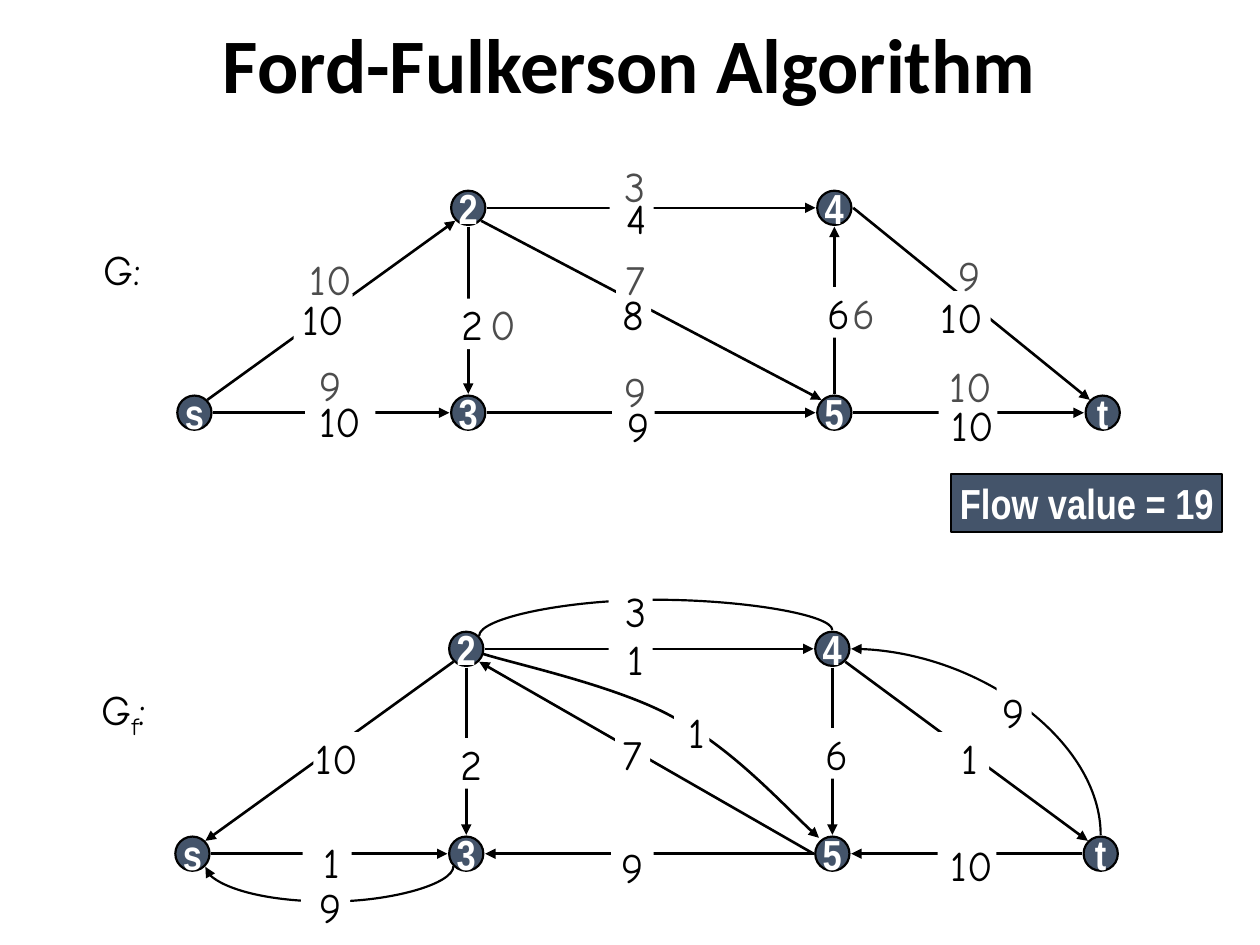
from dataclasses import dataclass

import pptx
import pptx.dml.color
import pptx.enum.shapes
import pptx.enum.text
import pptx.oxml
import pptx.oxml.ns
import pptx.util
from lxml import etree

Cm = pptx.util.Cm
Pt = pptx.util.Pt
RGBColor = pptx.dml.color.RGBColor
Shapes = pptx.enum.shapes.MSO_SHAPE
Connectors = pptx.enum.shapes.MSO_CONNECTOR
Align = pptx.enum.text.PP_ALIGN
Anchor = pptx.enum.text.MSO_ANCHOR
qn = pptx.oxml.ns.qn

BLACK = RGBColor(0x00, 0x00, 0x00)
WHITE = RGBColor(0xFF, 0xFF, 0xFF)
SLATE = RGBColor(0x44, 0x54, 0x6A)
GREY = RGBColor(0x4D, 0x4D, 0x4D)

# Node centres of the upper graph, and where each graph starts (cm)
NODES = {"s": (3.92, 8.32), "2": (9.44, 4.19), "3": (9.44, 8.32),
         "4": (16.82, 4.19), "5": (16.82, 8.32), "t": (22.23, 8.32)}
FLOW_ORIGIN = (0, 0)
RESIDUAL_ORIGIN = (-0.04, 8.89)
NODE_SIZE = 0.69
PORT_SIDE, PORT_CORNER = 0.38, 0.26


@dataclass(frozen=True)
class Edge:
    start: str
    start_port: str
    end: str
    end_port: str


@dataclass(frozen=True)
class Curve(Edge):
    flip: str = ""
    bow: float = 0
    arrow: bool = True


@dataclass(frozen=True)
class Label:
    text: str
    left: float
    top: float
    width: float = 0.94
    indent: float = 0


FLOW_EDGES = [
    Edge("s", "NE", "2", "SW"), Edge("s", "E", "3", "W"), Edge("3", "E", "5", "W"),
    Edge("2", "E", "4", "W"), Edge("2", "S", "3", "N"), Edge("5", "N", "4", "S"),
    Edge("2", "SE", "5", "NW"), Edge("4", "E", "t", "NW"), Edge("5", "E", "t", "W"),
]
RESIDUAL_EDGES = [
    Edge("s", "E", "3", "W"), Edge("5", "W", "3", "E"), Edge("2", "E", "4", "W"),
    Edge("2", "S", "3", "N"), Edge("4", "S", "5", "N"), Edge("4", "SE", "t", "NW"),
    Edge("t", "W", "5", "E"), Edge("5", "W", "2", "SE"), Edge("2", "SW", "s", "NE"),
]
RESIDUAL_CURVES = [
    Curve("3", "SW", "s", "SE", bow=0.71),
    Curve("t", "N", "4", "E", flip="H"),
    Curve("4", "N", "2", "NE", flip="HV", bow=-0.61, arrow=False),
]
# Start point, then two controls and an end point for each Bezier piece
FORWARD_CURVE = [(9.73, 13.18), (10.39, 13.39), (12.5, 13.84), (13.61, 14.48),
                 (14.76, 15.09), (15.93, 16.38), (16.51, 16.89)]

CAPACITY_LABELS = [
    Label("10", 6.15, 7.98, 1.42), Label("10", 5.92, 5.92, 1.19),
    Label("9", 12.34, 8.08, 0.86, 0.2), Label("8", 12.42, 5.82, 0.71),
    Label("4", 12.29, 3.89, 0.89, 0.2), Label("10", 18.92, 8.05, 1.19, 0.2),
    Label("10", 18.8, 5.87, 1.17), Label("6", 16.23, 5.79, 1.17, 0.2),
    Label("2", 8.84, 6.02, 1.19, 0.2),
]
FLOW_LABELS = [
    Label("10", 6.2, 5.11), Label("3", 12.34, 3.23), Label("9", 19.08, 5.03),
    Label("9", 6.2, 7.24), Label("9", 12.34, 7.37), Label("10", 19.1, 7.26),
    Label("7", 12.34, 5.11), Label("0", 9.68, 6.02), Label("6", 16.94, 5.79),
]
RESIDUAL_LABELS = [
    Label("1", 6.1, 16.87, 0.99, 0.2), Label("9", 12.32, 16.97, 0.86),
    Label("1", 12.27, 12.78, 0.89, 0.2), Label("1", 18.77, 14.76, 1.17, 0.4),
    Label("6", 16.18, 14.68, 1.17, 0.2), Label("2", 8.81, 14.88, 1.19, 0.2),
    Label("10", 18.9, 16.92, 1.19, 0.2), Label("7", 12.4, 14.68, 0.71),
    Label("10", 6.32, 14.76, 0.94), Label("9", 6.07, 17.78, 0.99, 0.2),
    Label("9", 20.09, 13.84, 0.71), Label("3", 12.27, 11.81, 0.89, 0.2),
    Label("1", 13.59, 14.25, 0.71, 0.2),
]


def port_point(node: str, port: str, origin: tuple) -> tuple:
    reach = PORT_CORNER if len(port) == 2 else PORT_SIDE
    x, y = NODES[node]
    return (x + origin[0] + reach * (("E" in port) - ("W" in port)),
            y + origin[1] + reach * (("S" in port) - ("N" in port)))


def style_line(shape, width: float, arrow: bool = True) -> None:
    shape.line.color.rgb = BLACK
    shape.line.width = Pt(width)
    if arrow:
        etree.SubElement(shape.line._get_or_add_ln(), qn("a:tailEnd"), type="triangle")


def add_link(shapes, edge: Edge, origin: tuple, kind, width: float, arrow: bool = True):
    start = port_point(edge.start, edge.start_port, origin)
    end = port_point(edge.end, edge.end_port, origin)
    connector = shapes.add_connector(kind, *(Cm(value) for value in start + end))
    style_line(connector, width, arrow)
    etree.SubElement(connector._element.spPr, qn("a:effectLst"))
    return connector, start, end


def add_curve(shapes, curve: Curve, origin: tuple) -> None:
    connector, start, end = add_link(shapes, curve, origin, Connectors.CURVE, 1.25, curve.arrow)
    # The frame is laid out before its quarter turn, so width and height swap
    width = max(abs(end[1] - start[1]), 0.01)
    height = abs(end[0] - start[0])
    connector.left = Cm((start[0] + end[0] - width) / 2)
    connector.top = Cm((start[1] + end[1] - height) / 2)
    connector.width, connector.height = Cm(width), Cm(height)
    properties = connector._element.spPr
    frame = properties.find(qn("a:xfrm"))
    frame.set("rot", str((270 if "V" in curve.flip else 90) * 60000))
    for axis in "HV":
        frame.set("flip" + axis, str(int(axis in curve.flip)))
    geometry = properties.find(qn("a:prstGeom"))
    if curve.bow:
        adjustment = round(curve.bow / width * 100000)
        etree.SubElement(geometry.find(qn("a:avLst")), qn("a:gd"),
                         name="adj1", fmla=f"val {adjustment}")
    else:
        geometry.set("prst", "curvedConnector2")


def add_bezier(shapes, points: list) -> None:
    lengths = [(Cm(x), Cm(y)) for x, y in points]
    builder = shapes.build_freeform(*lengths[0])
    builder.add_line_segments(lengths[1:], close=False)
    shape = builder.convert_to_shape()
    segments = list(shape._element.iter(qn("a:lnTo")))
    for index in range(0, len(segments), 3):
        cubic = etree.SubElement(segments[index].getparent(), qn("a:cubicBezTo"))
        for segment in segments[index:index + 3]:
            cubic.append(segment[0])
            segment.getparent().remove(segment)
    shape.fill.background()
    shape.shadow.inherit = False
    style_line(shape, 1.5)


def format_text(paragraph, name: str, color, bold: bool = False, align=Align.CENTER) -> None:
    paragraph.alignment = align
    font = paragraph.font
    font.name, font.size, font.bold = name, Pt(24), bold
    font.color.rgb = color


def add_badge(shapes, kind, text: str, left: float, top: float, width: float, height: float):
    shape = shapes.add_shape(kind, Cm(left), Cm(top), Cm(width), Cm(height))
    shape.shadow.inherit = False
    shape.fill.solid()
    shape.fill.fore_color.rgb = SLATE
    style_line(shape, 1.25, arrow=False)
    frame = shape.text_frame
    frame.word_wrap = False
    frame.vertical_anchor = Anchor.MIDDLE
    frame.text = text
    format_text(frame.paragraphs[0], "Arial Narrow", WHITE, bold=True)


def add_label(shapes, label: Label, color=BLACK, filled: bool = True, align=Align.CENTER):
    box = shapes.add_textbox(Cm(label.left), Cm(label.top), Cm(label.width),
                             Cm(1.02 if filled else 0.48))
    if filled:
        box.fill.solid()
        box.fill.fore_color.rgb = WHITE
    frame = box.text_frame
    frame.word_wrap = True
    frame.margin_left = Cm(label.indent)
    frame.margin_right = frame.margin_top = frame.margin_bottom = 0
    frame.text = label.text
    format_text(frame.paragraphs[0], "Comic Neue", color, align=align)
    return frame.paragraphs[0]


def add_graph(shapes, origin: tuple, edges: list, curves: list) -> None:
    for node, (x, y) in NODES.items():
        add_badge(shapes, Shapes.OVAL, node, x + origin[0] - NODE_SIZE / 2,
                  y + origin[1] - NODE_SIZE / 2, NODE_SIZE, NODE_SIZE)
    for edge in edges:
        add_link(shapes, edge, origin, Connectors.STRAIGHT, 1.5)
    for curve in curves:
        add_curve(shapes, curve, origin)


def main() -> None:
    presentation = pptx.Presentation()
    presentation.slide_width, presentation.slide_height = Cm(25.4), Cm(19.05)
    slide = presentation.slides.add_slide(presentation.slide_layouts[5])
    shapes = slide.shapes

    # Title
    title = shapes.title
    title.left, title.top, title.width, title.height = Cm(1.75), Cm(0.03), Cm(21.9), Cm(2.69)
    title.text_frame.text = "Ford-Fulkerson Algorithm"
    title.text_frame.vertical_anchor = Anchor.MIDDLE
    heading = title.text_frame.paragraphs[0]
    format_text(heading, "Calibri", BLACK, bold=True)
    heading.font.size = Pt(44)
    heading.line_spacing = 0.9

    # Flow network
    add_graph(shapes, FLOW_ORIGIN, FLOW_EDGES, [])
    for label in CAPACITY_LABELS:
        add_label(shapes, label)
    for label in FLOW_LABELS:
        add_label(shapes, label, GREY, filled=False)
    add_label(shapes, Label("G:", 1.88, 4.9, 1.22, 0.2), align=Align.LEFT)
    add_badge(shapes, Shapes.RECTANGLE, "Flow value = 19", 19.18, 9.55, 5.46, 1.17)

    # Residual network
    add_graph(shapes, RESIDUAL_ORIGIN, RESIDUAL_EDGES, RESIDUAL_CURVES)
    add_bezier(shapes, FORWARD_CURVE)
    for label in RESIDUAL_LABELS:
        add_label(shapes, label)
    name = add_label(shapes, Label("G", 1.85, 13.77, 1.5, 0.2), align=Align.LEFT)
    subscript = name.add_run()
    subscript.text = "f"
    subscript.font._element.set("baseline", "-25000")
    name.add_run().text = ":"

    presentation.save("out.pptx")


if __name__ == "__main__":
    main()
